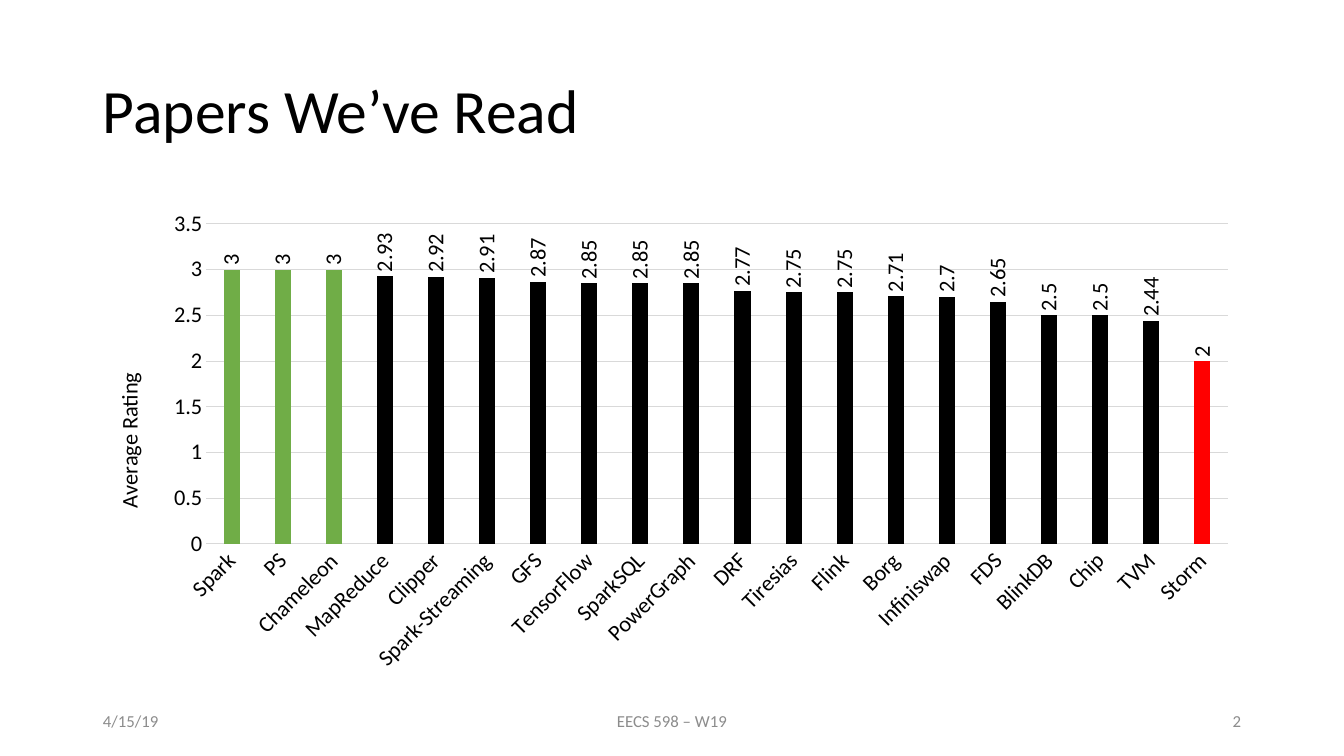
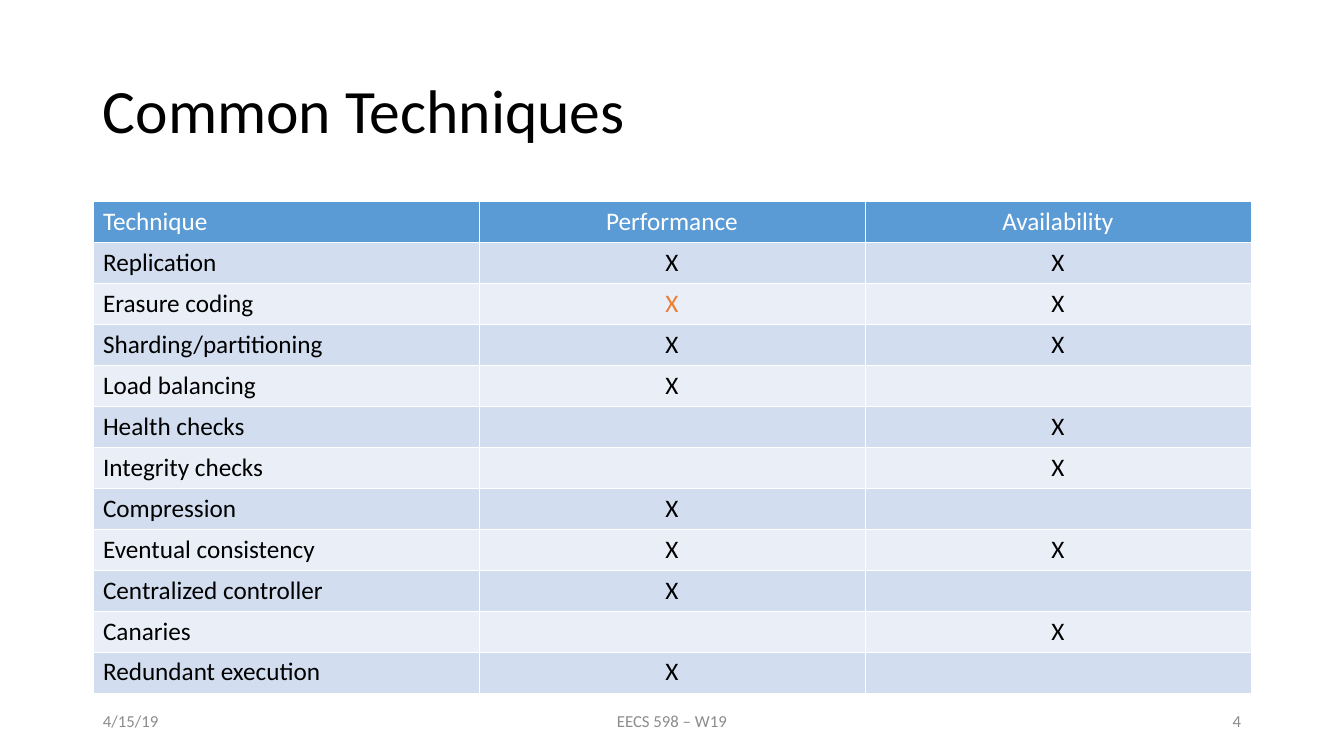
from lxml import etree
from pptx import Presentation
from pptx.chart.data import CategoryChartData
from pptx.dml.color import RGBColor
from pptx.enum.chart import XL_CHART_TYPE, XL_LABEL_POSITION, XL_TICK_MARK
from pptx.enum.text import MSO_ANCHOR, PP_ALIGN
from pptx.oxml import parse_xml
from pptx.oxml.ns import nsdecls, qn
from pptx.util import Pt

LEFT, MID, RIGHT = PP_ALIGN.LEFT, PP_ALIGN.CENTER, PP_ALIGN.RIGHT
MIDDLE = MSO_ANCHOR.MIDDLE
COLUMN = XL_CHART_TYPE.COLUMN_CLUSTERED
OUTSIDE = XL_LABEL_POSITION.OUTSIDE_END
NO_TICK = XL_TICK_MARK.NONE

SCALE = 914400 / 100.8
FONT = "Calibri"
HEX = {
    "black": "000000", "white": "FFFFFF", "gray": "8C8C8C", "grid": "D9D9D9",
    "green": "70AD47", "red": "FF0000", "orange": "ED7D31",
    "head": "5B9BD5", "dark": "D2DEEF", "light": "EAEFF7",
}

# Content
TITLE_BOX = (93, 41, 1159, 146)
FOOTERS = [
    ("4/15/19", 93, 302, LEFT),
    ("EECS 598 – W19", 445, 454, MID),
    (None, 949, 302, RIGHT),
]
FOOT_TOP, FOOT_H = 701, 40

RATINGS = [
    ("Spark", 3), ("PS", 3), ("Chameleon", 3), ("MapReduce", 2.93),
    ("Clipper", 2.92), ("Spark-Streaming", 2.91), ("GFS", 2.87),
    ("TensorFlow", 2.85), ("SparkSQL", 2.85), ("PowerGraph", 2.85),
    ("DRF", 2.77), ("Tiresias", 2.75), ("Flink", 2.75), ("Borg", 2.71),
    ("Infiniswap", 2.7), ("FDS", 2.65), ("BlinkDB", 2.5), ("Chip", 2.5),
    ("TVM", 2.44), ("Storm", 2),
]
BAR_TINT = {3: "green", 2: "red"}
CHART_BOX = (92, 202, 1159, 480)
PLOT_BOX = (206, 224, 1022, 320)
LABEL_AT = (110, 369)

HEADS = ("Technique", "Performance", "Availability")
USES = [
    ("Replication", "X", "X"),
    ("Erasure coding", "X", "X"),
    ("Sharding/partitioning", "X", "X"),
    ("Load balancing", "X", ""),
    ("Health checks", "", "X"),
    ("Integrity checks", "", "X"),
    ("Compression", "X", ""),
    ("Eventual consistency", "X", "X"),
    ("Centralized controller", "X", ""),
    ("Canaries", "", "X"),
    ("Redundant execution", "X", ""),
]
PARTIAL = (2, 1)
TABLE_LEFT, TABLE_TOP, COL_W, ROW_H = 93, 201, 386, 41


def px(num):
    return round(num * SCALE)


def rgb(name):
    return RGBColor.from_string(HEX[name])


def style(font, size, color):
    for key, val in {"name": FONT, "size": Pt(size), "bold": False}.items():
        setattr(font, key, val)
    font.color.rgb = rgb(color)


def write(frame, text, size, color, align=LEFT):
    para = frame.paragraphs[0]
    para.alignment = align
    run = para.add_run()
    run.text = text
    style(run.font, size, color)
    return para


def add_text(slide, box, text, size, color, align=LEFT):
    frame = slide.shapes.add_textbox(*map(px, box)).text_frame
    frame.word_wrap = True
    frame.vertical_anchor = MIDDLE
    return write(frame, text, size, color, align)


def add_slide(deck, title, num):
    slide = deck.slides.add_slide(deck.slide_layouts[6])
    add_text(slide, TITLE_BOX, title, 44, "black").line_spacing = 0.9
    for text, left, width, align in FOOTERS:
        box = (left, FOOT_TOP, width, FOOT_H)
        add_text(slide, box, text or str(num), 12, "gray", align)
    return slide


def place(node, index, box, inner=False):
    """Fix a chart part at box, given in slide px, as shares of the chart."""
    for old in node.findall(qn("c:layout")):
        node.remove(old)
    left, top, width, height = CHART_BOX
    shares = [(box[0] - left) / width, (box[1] - top) / height]
    shares += [size / whole for size, whole in zip(box[2:], (width, height))]
    layout = parse_xml(f"<c:layout {nsdecls('c')}><c:manualLayout/></c:layout>")
    vals = [("layoutTarget", "inner")] if inner else []
    vals += [("xMode", "edge"), ("yMode", "edge")]
    vals += [(key, f"{val:.4f}") for key, val in zip("xywh", shares)]
    for key, val in vals:
        etree.SubElement(layout[0], qn("c:" + key)).set("val", val)
    node.insert(index, layout)


def turn(node, angle):
    for body in node.iter(qn("a:bodyPr")):
        body.set("rot", str(angle * 60000))
        body.set("vert", "horz")


def set_line(line, color):
    line.color.rgb = rgb(color)
    line.width = Pt(0.75)


def add_ratings(slide):
    data = CategoryChartData()
    data.categories = [name for name, _ in RATINGS]
    data.add_series("Series 1", [val for _, val in RATINGS])
    chart = slide.shapes.add_chart(COLUMN, *map(px, CHART_BOX), data).chart
    chart.has_legend = chart.has_title = False
    style(chart.font, 16, "black")

    plot = chart.plots[0]
    plot.gap_width, plot.overlap, plot.vary_by_categories = 219, -27, False
    bars = plot.series[0]
    bars.format.fill.solid()
    bars.format.fill.fore_color.rgb = rgb("black")
    for i, (_, val) in enumerate(RATINGS):
        if val in BAR_TINT:
            fill = bars.points[i].format.fill
            fill.solid()
            fill.fore_color.rgb = rgb(BAR_TINT[val])

    plot.has_data_labels = True
    labels = plot.data_labels
    labels.show_value, labels.position = True, OUTSIDE
    style(labels.font, 16, "black")
    turn(labels._element, -90)

    cats, vals = chart.category_axis, chart.value_axis
    for axis in (cats, vals):
        axis.major_tick_mark = axis.minor_tick_mark = NO_TICK
        style(axis.tick_labels.font, 16, "black")
    turn(cats._element, -45)
    set_line(cats.format.line, "grid")
    vals.minimum_scale, vals.maximum_scale, vals.major_unit = 0, 3.5, 0.5
    vals.format.line.fill.background()
    set_line(vals.major_gridlines.format.line, "grid")

    title = vals.axis_title
    write(title.text_frame, "Average Rating", 16, "black", MID)
    turn(title._element, -90)
    place(title._element, 1, LABEL_AT)
    area = chart._chartSpace.find(".//" + qn("c:plotArea"))
    place(area, 0, PLOT_BOX, inner=True)


def add_edges(cell):
    props = cell._tc.get_or_add_tcPr()
    for side in "LRTB":
        props.append(parse_xml(
            f"<a:ln{side} {nsdecls('a')} w='6350'><a:solidFill>"
            f"<a:srgbClr val='{HEX['white']}'/></a:solidFill></a:ln{side}>"))


def add_uses(slide):
    rows = [HEADS, *USES]
    size = (COL_W * len(HEADS), ROW_H * len(rows))
    box = map(px, (TABLE_LEFT, TABLE_TOP, *size))
    table = slide.shapes.add_table(len(rows), len(HEADS), *box).table
    table.first_row = table.horz_banding = False
    for r, row in enumerate(rows):
        back = "head" if r == 0 else ("light", "dark")[r % 2]
        for c, text in enumerate(row):
            cell = table.cell(r, c)
            add_edges(cell)
            cell.fill.solid()
            cell.fill.fore_color.rgb = rgb(back)
            color = "white" if r == 0 else "black"
            if (r, c) == PARTIAL:
                color = "orange"
            if text:
                write(cell.text_frame, text, 18, color, MID if c else LEFT)


def main():
    deck = Presentation()
    deck.slide_width, deck.slide_height = px(1344), px(756)
    add_ratings(add_slide(deck, "Papers We’ve Read", 2))
    add_uses(add_slide(deck, "Common Techniques", 4))
    deck.save("out.pptx")


if __name__ == "__main__":
    main()
